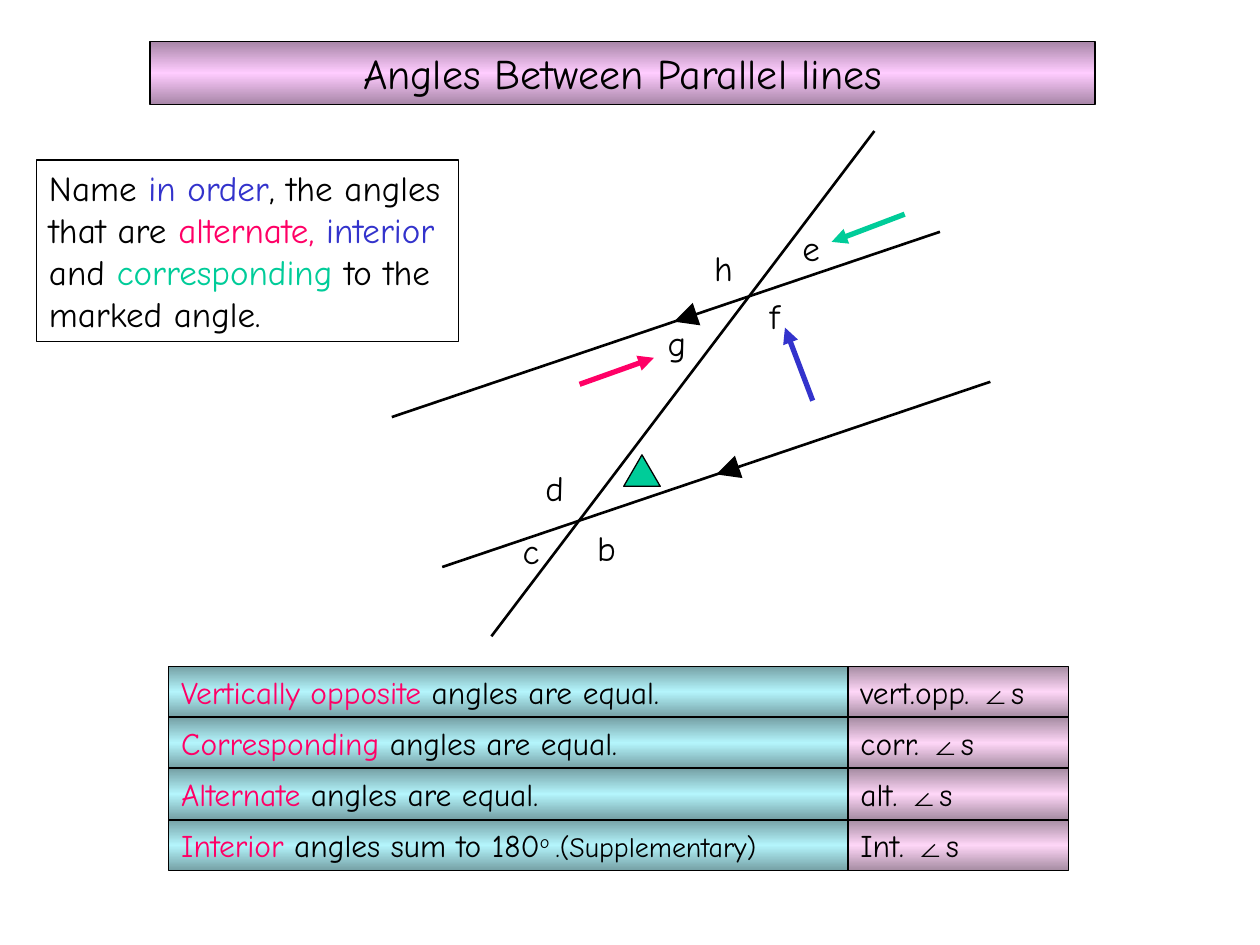
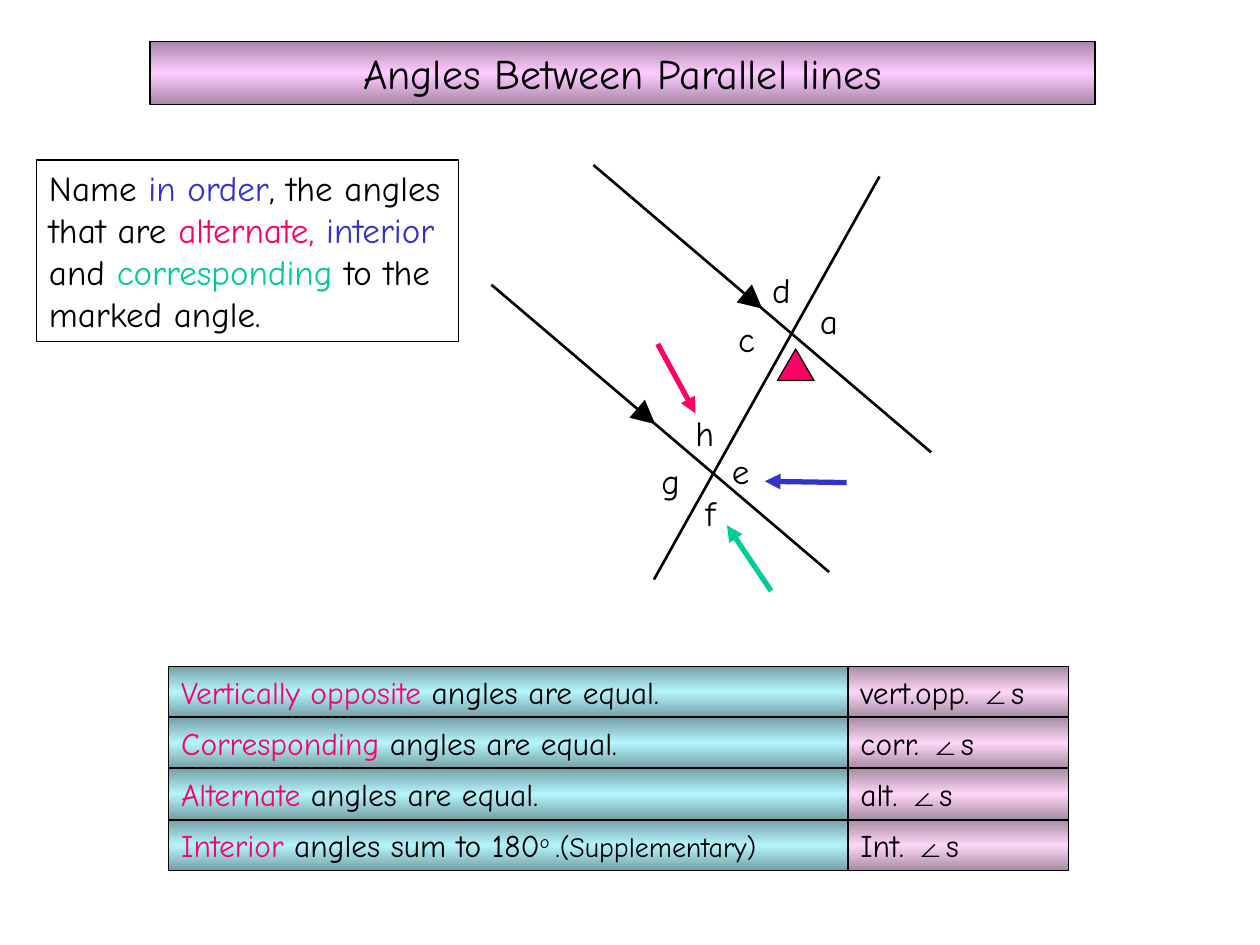
from copy import deepcopy
from dataclasses import dataclass

from pptx import Presentation as Deck
from pptx.dml.color import RGBColor as Rgb
from pptx.enum.shapes import MSO_CONNECTOR as Link, MSO_SHAPE as Form
from pptx.enum.text import MSO_AUTO_SIZE as Fit, MSO_ANCHOR as Anchor, PP_ALIGN as Align
from pptx.oxml.ns import qn
from pptx.oxml.xmlchemy import OxmlElement as Node
from pptx.util import Inches, Pt


@dataclass(frozen=True)
class Theme:
    """Colours, fonts and sizes in points."""
    black: str = "000000"
    blue: str = "3333CC"
    red: str = "FF0066"
    green: str = "00CC99"
    mauve: tuple = ("A886A8", "FFCCFF")
    aqua: tuple = ("76A1A6", "B4F5FC")
    pink: tuple = ("A78DA3", "FED6F7")
    face: str = "Comic Neue"
    plain: str = "Arial"
    title: int = 24
    body: int = 20
    rule: int = 18
    note: int = 16
    thin: float = 0.75
    line: float = 1.5
    hint: float = 3
    mark: float = 4.5


T = Theme()
COLS, ROWS = 100, 75
TITLE = "Angles Between Parallel lines"
TASK = ["Name ", ("in order", dict(ink=T.blue)), ", the angles that are ",
        ("alternate, ", dict(ink=T.red)), ("interior", dict(ink=T.blue)), " and ",
        ("corresponding", dict(ink=T.green)), " to the marked angle."]
RULES = [("Vertically opposite", [" angles are equal."], "vert.opp. "),
         ("Corresponding", [" angles are equal."], "corr. "),
         ("Alternate ", ["angles are equal."], "alt. "),
         ("Interior ", ["angles sum to 180", ("o ", dict(base=30)),
                        (".(Supplementary)", dict(size=T.note))], "Int. ")]
FIGURES = [
    dict(line=((78.6, 30.3), (35.1, 45)), shift=(-4, -11.9), cross=((69.4, 10.4), (39, 50.5)),
         wedge=(49.5, 36.1, T.green),
         names=dict(h=(55.7, 19.1), f=(60.1, 22.9), e=(62.7, 17.5), b=(46.4, 41.3),
                    g=(52, 25), d=(42.3, 36.5), c=(40.5, 41.5)),
         hints=[((46, 30.5), (51.9, 28.4), T.red), ((64.5, 31.8), (62.3, 26), T.blue),
                ((71.8, 17), (66, 19.2), T.green)]),
    dict(line=((47.1, 13.1), (73.9, 35.9)), shift=(-8.1, 9.5), cross=((51.9, 46), (69.8, 14)),
         wedge=(61.7, 27.7, T.red),
         names=dict(a=(64.1, 23.3), f=(55, 38.5), e=(57.1, 35.2), h=(54.2, 32.2),
                    g=(51.5, 36), d=(60.3, 20.8), c=(57.6, 24.7)),
         hints=[((52.2, 27.3), (55.2, 32.8), T.red), ((67.2, 38.3), (60.7, 38.2), T.blue),
                ((61.2, 46.9), (57.7, 41.7), T.green)]),
]


def write(para, text, size=T.body, ink=T.black, face=T.face, base=0):
    """Add one run of text in the given format."""
    run = para.add_run()
    run.text = text
    run.font.size, run.font.name = Pt(size), face
    run.font.color.rgb = Rgb.from_string(ink)
    if base:
        run.font._element.set("baseline", str(base * 1000))


def part(ends, share):
    """Return the point at a share of the way between two ends."""
    return tuple(a + (b - a) * share for a, b in zip(*ends))


class Board:
    """Draws on the current slide in grid columns and rows."""

    def __init__(self, deck):
        """Keep the deck and the size of a grid cell."""
        self.deck = deck
        self.cell = deck.slide_width / COLS, deck.slide_height / ROWS

    def page(self):
        """Start a blank slide."""
        self.shapes = self.deck.slides.add_slide(self.deck.slide_layouts[6]).shapes

    def scale(self, *nums):
        """Turn columns and rows, in turn, into lengths."""
        return [round(n * self.cell[i % 2]) for i, n in enumerate(nums)]

    def fill(self, frame, bits, align, **style):
        """Put a paragraph of plain and styled pieces in a frame."""
        frame.word_wrap, frame.auto_size = True, Fit.SHAPE_TO_FIT_TEXT
        frame.vertical_anchor = Anchor.TOP
        para = frame.paragraphs[0]
        para.alignment = align
        for bit in bits:
            text, extra = (bit, {}) if isinstance(bit, str) else bit
            write(para, text, **{**style, **extra})

    def shape(self, form, box, ink=None):
        """Add an outlined shape, plain or filled."""
        item = self.shapes.add_shape(form, *self.scale(*box))
        item.shadow.inherit = False
        item.line.color.rgb, item.line.width = Rgb.from_string(T.black), Pt(T.thin)
        if ink:
            item.fill.solid()
            item.fill.fore_color.rgb = Rgb.from_string(ink)
        else:
            item.fill.background()
        return item

    def panel(self, box, bits, tint=None, align=Align.LEFT, **style):
        """Add a text box with a border and an optional sheen."""
        item = self.shape(Form.RECTANGLE, box)
        if tint:
            item.fill.gradient()
            item.fill.gradient_angle = 270
            stops = item._element.find(".//" + qn("a:gsLst"))
            stops.append(deepcopy(stops[0]))
            edge, core = tint
            for i, (stop, ink) in enumerate(zip(item.fill.gradient_stops, (edge, core, edge))):
                stop.color.rgb, stop.position = Rgb.from_string(ink), i / 2
        self.fill(item.text_frame, bits, align, **style)

    def label(self, spot, text):
        """Add the letter of an angle."""
        item = self.shapes.add_textbox(*self.scale(*spot, 4.3, 4.4))
        self.fill(item.text_frame, [text], Align.LEFT)

    def stroke(self, start, end, width=T.line, ink=T.black, arrow=False):
        """Add a line, with an arrowhead at its end if asked."""
        item = self.shapes.add_connector(Link.STRAIGHT, *self.scale(*start, *end))
        item.line.color.rgb, item.line.width = Rgb.from_string(ink), Pt(width)
        if arrow:
            tip = Node("a:tailEnd")
            tip.set("type", "triangle")
            item.line._get_or_add_ln().append(tip)
        item._element.spPr.append(Node("a:effectLst"))

    def rules(self):
        """Add the rows of angle rules and their short forms."""
        for i, (name, rest, short) in enumerate(RULES):
            top = 52.9 + 4.06 * i
            self.panel((13.4, top, 54, 4), [(name, dict(ink=T.red)), *rest], T.aqua, size=T.rule)
            self.panel((67.3, top, 17.5, 4), [short, ("∠", dict(face=T.plain)), "s"],
                       T.pink, size=T.rule)

    def figure(self, line, shift, cross, wedge, names, hints):
        """Add two marked parallels, their crossing line, letters and hints."""
        twin = [tuple(a + b for a, b in zip(end, shift)) for end in line]
        for ends, tip in ((line, 0.5), (twin, 0.485)):
            self.stroke(*ends)
            self.stroke(part(ends, tip - 0.03), part(ends, tip), T.mark, arrow=True)
        self.stroke(*cross)
        left, top, ink = wedge
        self.shape(Form.ISOSCELES_TRIANGLE, (left, top, 2.9, 2.5), ink)
        for text, spot in names.items():
            self.label(spot, text)
        for start, end, ink in hints:
            self.stroke(start, end, T.hint, ink, arrow=True)


def main():
    """Build both slides and save them."""
    deck = Deck()
    deck.slide_width, deck.slide_height = Inches(10), Inches(7.5)
    board = Board(deck)
    for figure in FIGURES:
        board.page()
        board.panel((11.9, 3.3, 75, 5), [TITLE], T.mauve, Align.CENTER, size=T.title)
        board.figure(**figure)
        board.panel((2.9, 12.7, 33.5, 14.4), TASK)
        board.rules()
    deck.save("out.pptx")


if __name__ == "__main__":
    main()
